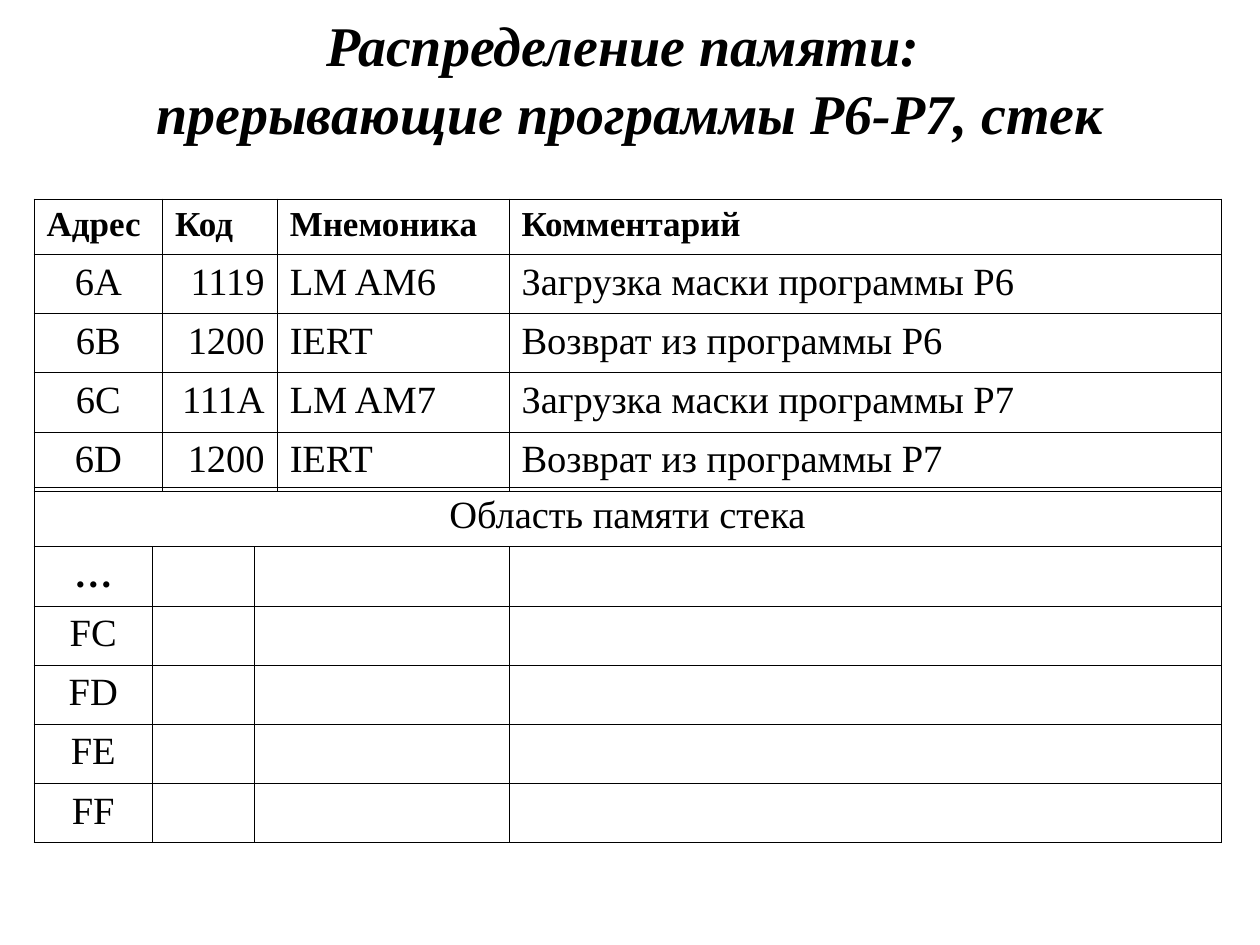
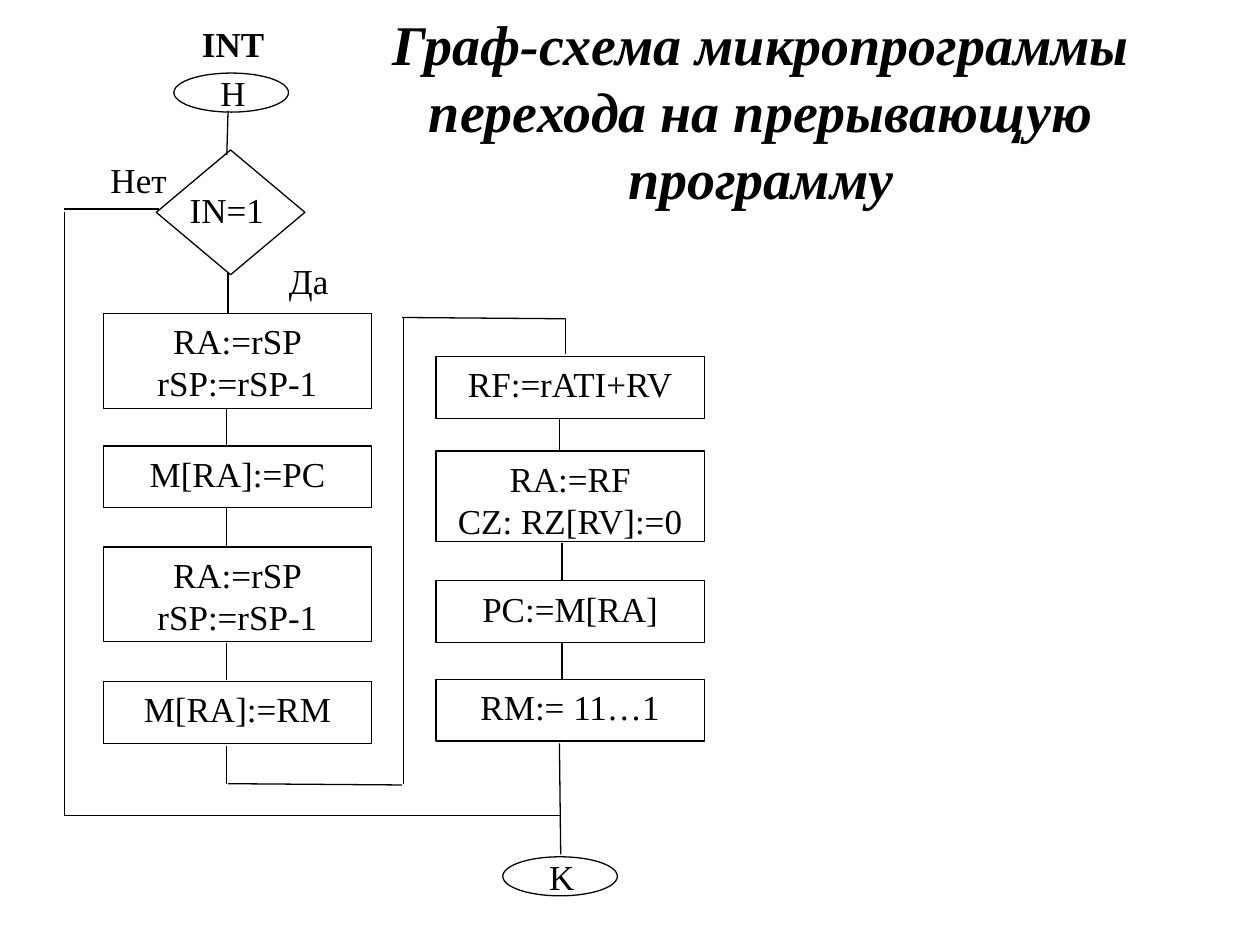
from dataclasses import dataclass
from typing import NamedTuple

from lxml import etree
from pptx import Presentation
from pptx.dml.color import RGBColor
from pptx.enum.shapes import MSO_CONNECTOR, MSO_SHAPE
from pptx.enum.text import MSO_ANCHOR, PP_ALIGN
from pptx.oxml.ns import qn
from pptx.util import Inches, Pt

LEFT, CENTER, RIGHT, JUSTIFY = PP_ALIGN.LEFT, PP_ALIGN.CENTER, PP_ALIGN.RIGHT, PP_ALIGN.JUSTIFY
TOP, MIDDLE = MSO_ANCHOR.TOP, MSO_ANCHOR.MIDDLE
RECTANGLE, OVAL, DIAMOND = MSO_SHAPE.RECTANGLE, MSO_SHAPE.OVAL, MSO_SHAPE.DIAMOND
STRAIGHT = MSO_CONNECTOR.STRAIGHT


@dataclass(frozen=True)
class Theme:
    font: str = "Times New Roman"
    ink: RGBColor = RGBColor(0, 0, 0)
    title_size: float = 32
    cell_size: float = 22
    body_size: float = 20
    line_width: float = 0.75
    border_width: float = 0.45


THEME = Theme()


class Box(NamedTuple):
    left: float
    top: float
    width: float
    height: float


class Node(NamedTuple):
    """A flowchart outline with optional text lines inside."""
    kind: int
    box: Box
    lines: tuple[str, ...] = ()


class Label(NamedTuple):
    text: str
    left: float
    top: float
    bold: bool = False


class Line(NamedTuple):
    x1: float
    y1: float
    x2: float
    y2: float


def inches(values):
    return [Inches(value) for value in values]


# Shared drawing functions
def style_paragraph(paragraph, size: float, align=CENTER, bold=False, italic=False) -> None:
    paragraph.alignment = align
    font = paragraph.font
    font.name, font.size = THEME.font, Pt(size)
    font.bold, font.italic = bold, italic
    font.color.rgb = THEME.ink


def write_lines(frame, lines, size: float, anchor=TOP, **style) -> None:
    frame.word_wrap = True
    frame.vertical_anchor = anchor
    for index, text in enumerate(lines):
        paragraph = frame.add_paragraph() if index else frame.paragraphs[0]
        paragraph.text = text
        style_paragraph(paragraph, size, **style)


def add_text(slide, text: str, box: Box, size: float, **style) -> None:
    text_box = slide.shapes.add_textbox(*inches(box))
    write_lines(text_box.text_frame, [text], size, **style)


def add_title(slide, text: str, box: Box) -> None:
    add_text(slide, text, box, THEME.title_size, anchor=MIDDLE, bold=True, italic=True)


def add_node(slide, node: Node) -> None:
    shape = slide.shapes.add_shape(node.kind, *inches(node.box))
    shape.shadow.inherit = False
    shape.fill.background()
    shape.line.color.rgb = THEME.ink
    shape.line.width = Pt(THEME.line_width)
    write_lines(shape.text_frame, node.lines, THEME.body_size)


def add_line(slide, line: Line) -> None:
    connector = slide.shapes.add_connector(STRAIGHT, *inches(line))
    connector.line.color.rgb = THEME.ink
    connector.line.width = Pt(THEME.line_width)
    etree.SubElement(connector._element.spPr, qn("a:effectLst"))


def set_borders(cell) -> None:
    properties = cell._tc.get_or_add_tcPr()
    for position, side in enumerate(("lnL", "lnR", "lnT", "lnB")):
        border = etree.Element(qn(f"a:{side}"), w=str(Pt(THEME.border_width)))
        fill = etree.SubElement(border, qn("a:solidFill"))
        etree.SubElement(fill, qn("a:srgbClr"), val=str(THEME.ink))
        properties.insert(position, border)


def add_grid(slide, left: float, top: float, columns, heights, rows):
    """Draw a bordered table without fills and write the cell texts."""
    frame = slide.shapes.add_table(
        len(heights), len(columns),
        *inches((left, top, sum(columns), sum(heights))))
    table = frame.table
    table.first_row = table.horz_banding = False
    for column, width in zip(table.columns, columns):
        column.width = Inches(width)
    for row, height, texts in zip(table.rows, heights, rows):
        row.height = Inches(height)
        for cell, text in zip(row.cells, texts):
            cell.text = text
            cell.fill.background()
            set_borders(cell)
    return table


# Slide 1: memory map
TABLE_LEFT, ROW_HEIGHT = 0.27, 0.47
PROGRAM_COLUMNS = (1.02, 0.91, 1.84, 5.65)
STACK_COLUMNS = (0.94, 0.81, 2.02, 5.65)
PROGRAM_ROWS = (
    ("Адрес", "Код", "Мнемоника", "Комментарий"),
    ("6A", "1119", "LM AM6", "Загрузка маски программы P6"),
    ("6B", "1200", "IERT", "Возврат из программы P6"),
    ("6C", "111A", "LM AM7", "Загрузка маски программы P7"),
    ("6D", "1200", "IERT", "Возврат из программы P7"),
)
PROGRAM_ALIGNS = (CENTER, RIGHT, LEFT, JUSTIFY)
STACK_TITLE = "Область памяти стека"
STACK_ADDRESSES = ("…", "FC", "FD", "FE", "FF")


def build_memory_slide(slide) -> None:
    add_title(slide, "Распределение памяти: \vпрерывающие программы Р6-Р7, стек",
              Box(0, 0.13, 10, 0.98))

    # Interrupt programs
    heights = (0.44,) + (ROW_HEIGHT,) * 4
    programs = add_grid(slide, TABLE_LEFT, 1.58, PROGRAM_COLUMNS, heights, PROGRAM_ROWS)
    for index, row in enumerate(programs.rows):
        for cell, align in zip(row.cells, PROGRAM_ALIGNS):
            paragraph = cell.text_frame.paragraphs[0]
            if index == 0:
                style_paragraph(paragraph, THEME.body_size, JUSTIFY, bold=True)
            else:
                style_paragraph(paragraph, THEME.cell_size, align)

    # Stack area
    first_column = (STACK_TITLE, *STACK_ADDRESSES)
    stack = add_grid(slide, TABLE_LEFT, 3.87, STACK_COLUMNS,
                     (ROW_HEIGHT,) * len(first_column),
                     [(text, "", "", "") for text in first_column])
    stack.cell(0, 0).merge(stack.cell(0, 3))
    for index, text in enumerate(first_column):
        paragraph = stack.cell(index, 0).text_frame.paragraphs[0]
        style_paragraph(paragraph, THEME.cell_size, bold=text == "…")


# Slide 2: interrupt entry flowchart
LEFT_COLUMN, RIGHT_COLUMN = 0.82, 3.46
BLOCK_WIDTH, BLOCK_HEIGHT = 2.13, 0.49
LABEL_WIDTH, LABEL_HEIGHT = 1.2, 0.43


def block(left: float, top: float, *lines: str, height: float = BLOCK_HEIGHT) -> Node:
    return Node(RECTANGLE, Box(left, top, BLOCK_WIDTH, height), lines)


def drop(x: float, top: float, bottom: float) -> Line:
    return Line(x, top, x, bottom)


PUSH_STACK = ("RA:=rSP", "rSP:=rSP-1")
NODES = (
    Node(OVAL, Box(1.38, 0.58, 0.91, 0.31)),
    Node(DIAMOND, Box(1.24, 1.19, 1.18, 0.99)),
    block(LEFT_COLUMN, 2.49, *PUSH_STACK, height=0.75),
    block(LEFT_COLUMN, 3.54, "M[RA]:=PC"),
    block(LEFT_COLUMN, 4.34, *PUSH_STACK, height=0.75),
    block(LEFT_COLUMN, 5.41, "M[RA]:=RM"),
    block(RIGHT_COLUMN, 2.83, "RF:=rATI+RV"),
    block(RIGHT_COLUMN, 3.58, "RA:=RF", "CZ: RZ[RV]:=0", height=0.72),
    block(RIGHT_COLUMN, 4.61, "PC:=M[RA]"),
    block(RIGHT_COLUMN, 5.39, "RM:= 11…1"),
    Node(OVAL, Box(3.99, 6.8, 0.91, 0.31)),
)
LABELS = (
    Label("INT", 1.25, 0.13, bold=True),
    Label("Н", 1.25, 0.52),
    Label("IN=1", 1.2, 1.45),
    Label("Нет", 0.5, 1.21),
    Label("Да", 1.85, 2.01),
    Label("K", 3.86, 6.74),
)
LINES = (
    # Left column
    Line(1.81, 0.88, 1.8, 1.23),
    drop(1.81, 2.17, 2.49),
    drop(1.8, 3.24, 3.55),
    drop(1.8, 4.03, 4.34),
    drop(1.8, 5.1, 5.4),
    drop(1.8, 5.92, 6.22),
    # Passage to the right column
    Line(1.81, 6.22, 3.19, 6.23),
    drop(3.2, 2.52, 6.22),
    Line(3.19, 2.52, 4.49, 2.53),
    drop(4.49, 2.53, 2.81),
    # Right column
    drop(4.44, 3.32, 3.57),
    drop(4.46, 4.31, 4.61),
    drop(4.46, 5.1, 5.4),
    Line(4.44, 5.9, 4.45, 6.78),
    # Bypass when there is no interrupt
    Line(1.26, 1.66, 0.51, 1.66),
    drop(0.51, 1.68, 6.47),
    Line(0.51, 6.47, 4.45, 6.47),
)


def build_flowchart_slide(slide) -> None:
    add_title(slide, "Граф-схема микропрограммы перехода на прерывающую программу",
              Box(2.32, 0.09, 7.44, 1.57))
    for node in NODES:
        add_node(slide, node)
    for line in LINES:
        add_line(slide, line)
    for label in LABELS:
        add_text(slide, label.text, Box(label.left, label.top, LABEL_WIDTH, LABEL_HEIGHT),
                 THEME.body_size, bold=label.bold)


def main() -> None:
    presentation = Presentation()
    presentation.slide_width, presentation.slide_height = Inches(10), Inches(7.5)
    blank_layout = presentation.slide_layouts[6]
    for build_slide in (build_memory_slide, build_flowchart_slide):
        build_slide(presentation.slides.add_slide(blank_layout))
    presentation.save("out.pptx")


if __name__ == "__main__":
    main()
